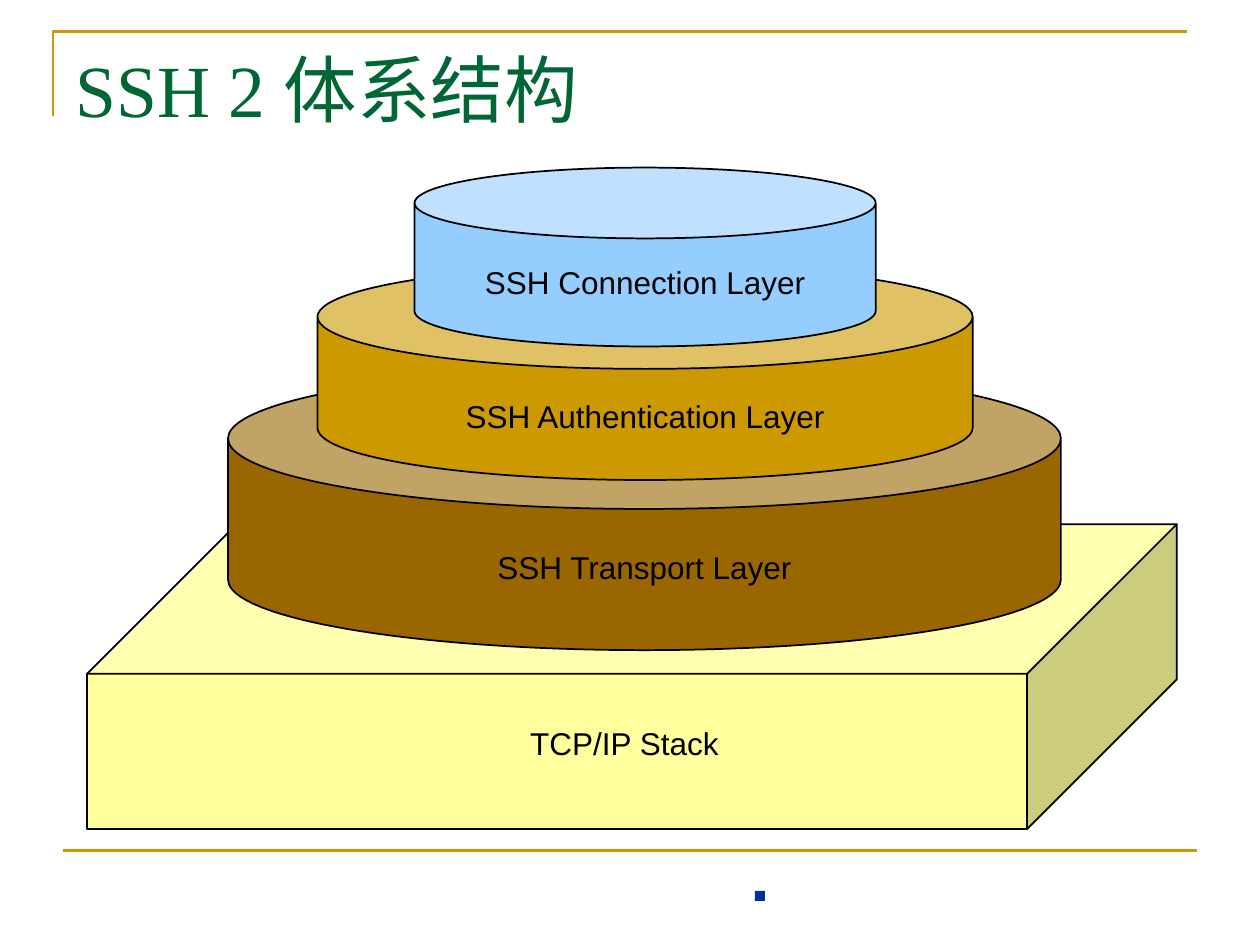
from dataclasses import dataclass

from lxml import etree
from pptx import Presentation
from pptx.dml.color import RGBColor
from pptx.enum.shapes import MSO_CONNECTOR, MSO_SHAPE
from pptx.enum.text import MSO_ANCHOR, PP_ALIGN
from pptx.oxml.ns import qn
from pptx.util import Inches, Pt

CAN, CUBE, RECT = MSO_SHAPE.CAN, MSO_SHAPE.CUBE, MSO_SHAPE.RECTANGLE
STRAIGHT = MSO_CONNECTOR.STRAIGHT
LEFT, CENTER = PP_ALIGN.LEFT, PP_ALIGN.CENTER
TOP = MSO_ANCHOR.TOP
TITLE_ONLY = 5


@dataclass(frozen=True)
class Theme:
    rule: str = "CC9900"
    title: str = "006633"
    ink: str = "000000"
    marker: str = "003399"
    stack: str = "FFFF9D"
    transport: str = "996600"
    authentication: str = "CC9900"
    connection: str = "95CDFF"
    title_font: str = "Times New Roman"
    body_font: str = "Arial"
    title_size: int = 42
    body_size: int = 18
    rule_width: float = 1.5
    outline_width: float = 1


THEME = Theme()


def rgb(value):
    return RGBColor.from_string(value)


def style_line(line, color, width):
    line.color.rgb = rgb(color)
    line.width = Pt(width)


def style_text(p, font, size, color, align):
    p.alignment = align
    for r in p.runs:
        r.font.name = font
        r.font.size = Pt(size)
        r.font.color.rgb = rgb(color)


def add_title(s, text):
    sp = s.shapes.title
    sp.left, sp.top, sp.width, sp.height = map(Inches, (0.5, 0.3, 9, 1.25))
    tf = sp.text_frame
    tf.text = text
    tf.vertical_anchor = TOP
    style_text(tf.paragraphs[0], THEME.title_font, THEME.title_size, THEME.title, LEFT)


def add_frame(s):
    corner = s.shapes.build_freeform(Inches(0.42), Inches(0.92))
    corner.add_line_segments(
        [(Inches(0.42), Inches(0.25)), (Inches(9.42), Inches(0.25))], close=False
    )
    sp = corner.convert_to_shape()
    sp.fill.background()
    sp.shadow.inherit = False
    style_line(sp.line, THEME.rule, THEME.rule_width)

    footer = s.shapes.add_connector(
        STRAIGHT, Inches(0.5), Inches(6.75), Inches(9.5), Inches(6.75)
    )
    style_line(footer.line, THEME.rule, THEME.rule_width)
    etree.SubElement(footer._element.spPr, qn("a:effectLst"))


def add_solid(s, kind, box, fill, depth=None):
    sp = s.shapes.add_shape(kind, *map(Inches, box))
    sp.shadow.inherit = False
    sp.fill.solid()
    sp.fill.fore_color.rgb = rgb(fill)
    if depth is None:
        sp.line.fill.background()
    else:
        sp.adjustments[0] = depth
        style_line(sp.line, THEME.ink, THEME.outline_width)


def add_label(s, text, box, align=CENTER):
    tf = s.shapes.add_textbox(*map(Inches, box)).text_frame
    tf.word_wrap = False
    tf.text = text
    style_text(tf.paragraphs[0], THEME.body_font, THEME.body_size, THEME.ink, align)


def add_layer(s, text, box, depth, fill, label_top):
    left, _, width, _ = box
    add_solid(s, CAN, box, fill, depth)
    add_label(s, text, (left, label_top, width, 0.43))


def main():
    prs = Presentation()
    prs.slide_width, prs.slide_height = Inches(10), Inches(7.5)
    s = prs.slides.add_slide(prs.slide_layouts[TITLE_ONLY])

    add_frame(s)
    add_solid(s, CUBE, (0.69, 4.16, 8.65, 2.42), THEME.stack, 0.491)
    add_title(s, "SSH 2 体系结构")
    add_solid(s, RECT, (5.99, 7.07, 0.08, 0.08), THEME.marker)
    add_label(s, "TCP/IP Stack", (4.11, 5.7, 1.78, 0.43), LEFT)

    layers = [
        ("SSH Transport Layer", (1.81, 2.92, 6.61, 2.24), 0.5, THEME.transport, 4.3),
        ("SSH Authentication Layer", (2.52, 2.1, 5.2, 1.71), 0.484, THEME.authentication, 3.1),
        ("SSH Connection Layer", (3.29, 1.33, 3.66, 1.42), 0.396, THEME.connection, 2.04),
    ]
    for layer in layers:
        add_layer(s, *layer)

    prs.save("out.pptx")


main()
